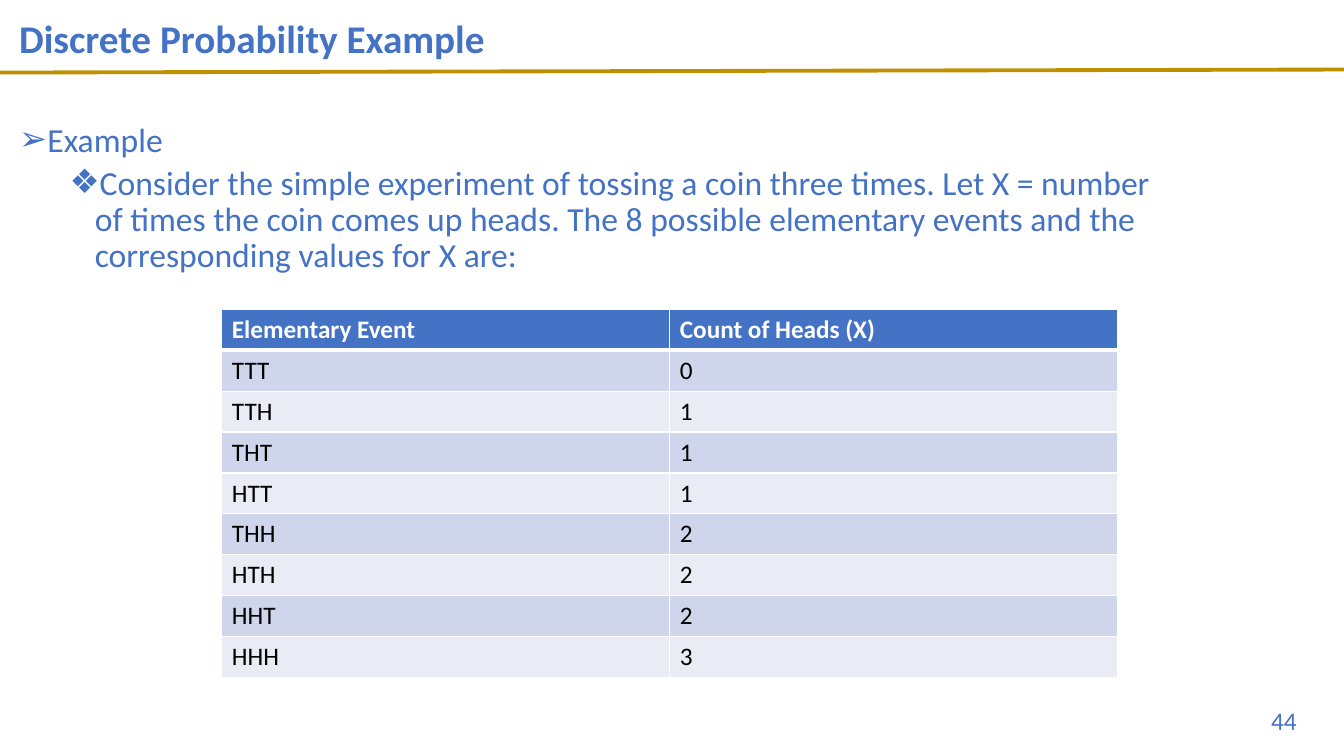
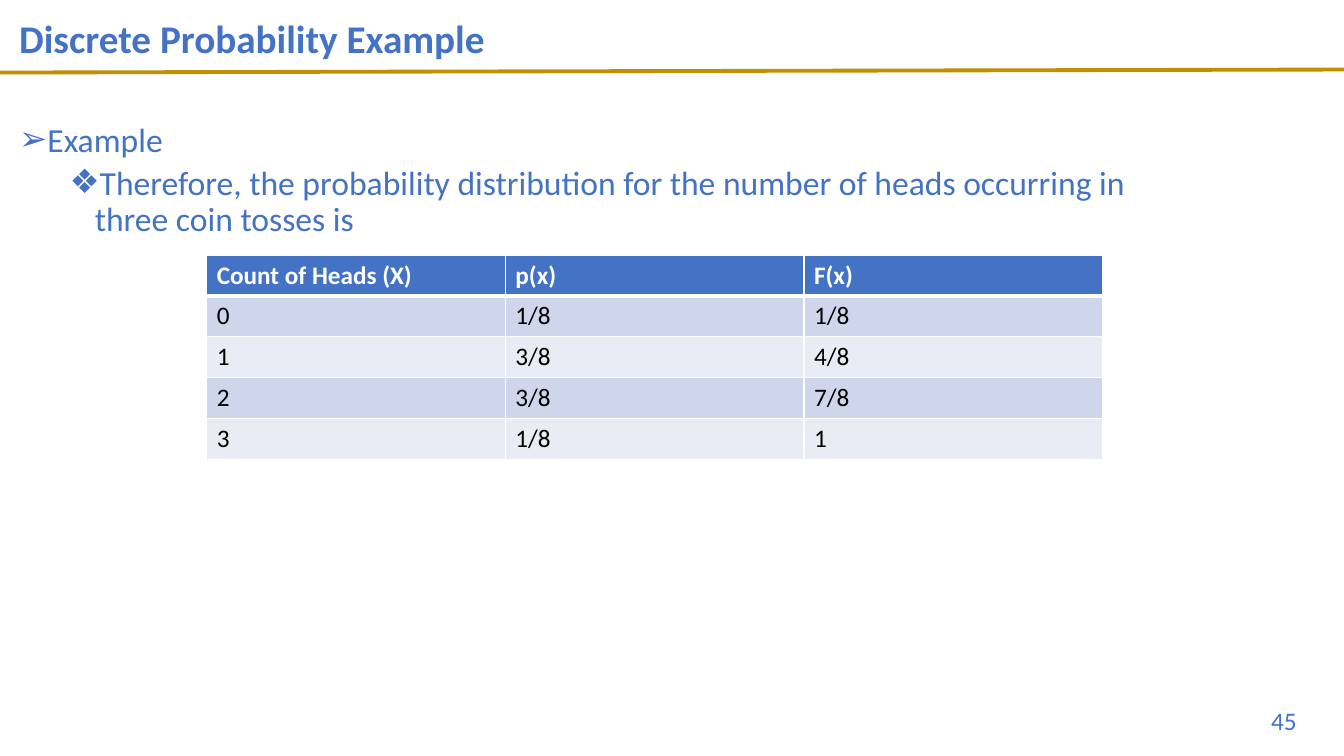
from lxml.etree import SubElement
from pptx import Presentation
from pptx.dml.color import RGBColor
from pptx.enum.shapes import MSO_CONNECTOR
from pptx.enum.text import MSO_ANCHOR, MSO_AUTO_SIZE, PP_ALIGN
from pptx.oxml.ns import qn
from pptx.util import Inches, Pt

W, H = 13.33, 7.5
FONT = "Calibri"
BLUE, GOLD, WHITE, BLACK = "4472C4", "BF9000", "FFFFFF", "000000"
BANDS = ("CFD5EA", "E9EBF5")
TITLE_BOX = (0.09, 0, 11.5, 0.8)
BODY_BOX = (0.09, 1.17, 11.5, 4.76)
NUMBER_BOX = (9.96, 6.95, 3, 0.4)
TABLE_W, ROW_H = W * 2 / 3, 3.65 / 9


def rgb(color):
    return RGBColor.from_string(color)


def place(sp, box):
    sp.left, sp.top, sp.width, sp.height = map(Inches, box)


def write(p, text, size, color=BLUE, bold=False):
    r = p.add_run()
    r.text = text
    r.font.name, r.font.size, r.font.bold = FONT, Pt(size), bold
    r.font.color.rgb = rgb(color)


def add_title(s, text):
    sp = s.shapes.title
    place(sp, TITLE_BOX)
    tf = sp.text_frame
    tf.auto_size = MSO_AUTO_SIZE.NONE
    tf.vertical_anchor = MSO_ANCHOR.MIDDLE
    p = tf.paragraphs[0]
    p.alignment, p.line_spacing = PP_ALIGN.LEFT, 0.9
    write(p, text, 28, bold=True)


def add_rule(s):
    line = s.shapes.add_connector(
        MSO_CONNECTOR.STRAIGHT, 0, Inches(0.72), Inches(W), Inches(0.69))
    line.line.color.rgb = rgb(GOLD)
    line.line.width = Pt(2.75)
    SubElement(line._element.spPr, qn("a:effectLst"))


def add_number(s, number):
    sp = s.shapes.add_textbox(*map(Inches, NUMBER_BOX))
    sp.text_frame.word_wrap = True
    p = sp.text_frame.paragraphs[0]
    p.alignment = PP_ALIGN.RIGHT
    write(p, str(number), 18)


def add_bullet(p, text, level, indent, char, before):
    p.level, p.line_spacing, p.space_before = level, 0.9, Pt(before)
    pPr = p._p.get_or_add_pPr()
    pPr.set("marL", str(Inches(indent)))
    pPr.set("indent", str(Inches(-0.25)))
    SubElement(pPr, qn("a:buChar"), char=char)
    write(p, text, 24)


def add_body(s, heading, detail):
    sp = s.placeholders[1]
    place(sp, BODY_BOX)
    tf = sp.text_frame
    tf.auto_size = MSO_AUTO_SIZE.NONE
    add_bullet(tf.paragraphs[0], heading, 0, 0.25, "➢", 0)
    add_bullet(tf.add_paragraph(), detail, 1, 0.75, "❖", 5)


def set_borders(cell, widths):
    """Draw white borders; widths maps each side's tag to points."""
    tcPr = cell._tc.get_or_add_tcPr()
    for i, (side, width) in enumerate(widths.items()):
        ln = tcPr.makeelement(qn(f"a:{side}"), {"w": str(Pt(width))})
        fill = SubElement(ln, qn("a:solidFill"))
        SubElement(fill, qn("a:srgbClr"), val=WHITE)
        tcPr.insert(i, ln)


def add_table(s, left, top, rows):
    """Place a table with a blue header row and banded body rows."""
    n_rows, n_cols = len(rows), len(rows[0])
    table = s.shapes.add_table(
        n_rows, n_cols, Inches(left), Inches(top),
        Inches(TABLE_W), Inches(ROW_H * n_rows)).table
    for col in table.columns:
        col.width = Inches(TABLE_W / n_cols)
    for i, row in enumerate(rows):
        header = i == 0
        table.rows[i].height = Inches(ROW_H)
        for j, text in enumerate(row):
            cell = table.cell(i, j)
            cell.fill.solid()
            cell.fill.fore_color.rgb = rgb(BLUE if header else BANDS[(i - 1) % 2])
            set_borders(cell, {"lnL": 1, "lnR": 1, "lnT": 3 if i == 1 else 1,
                               "lnB": 3 if header else 1})
            write(cell.text_frame.paragraphs[0], text, 18,
                  WHITE if header else BLACK, header)


def add_example_slide(prs, number, detail, table_at, rows):
    s = prs.slides.add_slide(prs.slide_layouts[1])
    add_rule(s)
    add_title(s, "Discrete Probability Example")
    add_body(s, "Example", detail)
    add_number(s, number)
    add_table(s, *table_at, rows)


def main():
    prs = Presentation()
    prs.slide_width, prs.slide_height = Inches(W), Inches(H)
    events = ("TTT", "TTH", "THT", "HTT", "THH", "HTH", "HHT", "HHH")
    add_example_slide(
        prs, 44,
        "Consider the simple experiment of tossing a coin three times. "
        "Let X = number of times the coin comes up heads. The 8 possible "
        "elementary events and the corresponding values for X are:",
        (2.2, 3.07),
        [("Elementary Event", "Count of Heads (X)"),
         *((event, str(event.count("H"))) for event in events)])
    add_example_slide(
        prs, 45,
        "Therefore, the probability distribution for the number of heads "
        "occurring in three coin tosses is",
        (2.05, 2.53),
        [("Count of Heads (X)", "p(x)", "F(x)"),
         ("0", "1/8", "1/8"),
         ("1", "3/8", "4/8"),
         ("2", "3/8", "7/8"),
         ("3", "1/8", "1")])
    prs.save("out.pptx")


if __name__ == "__main__":
    main()
